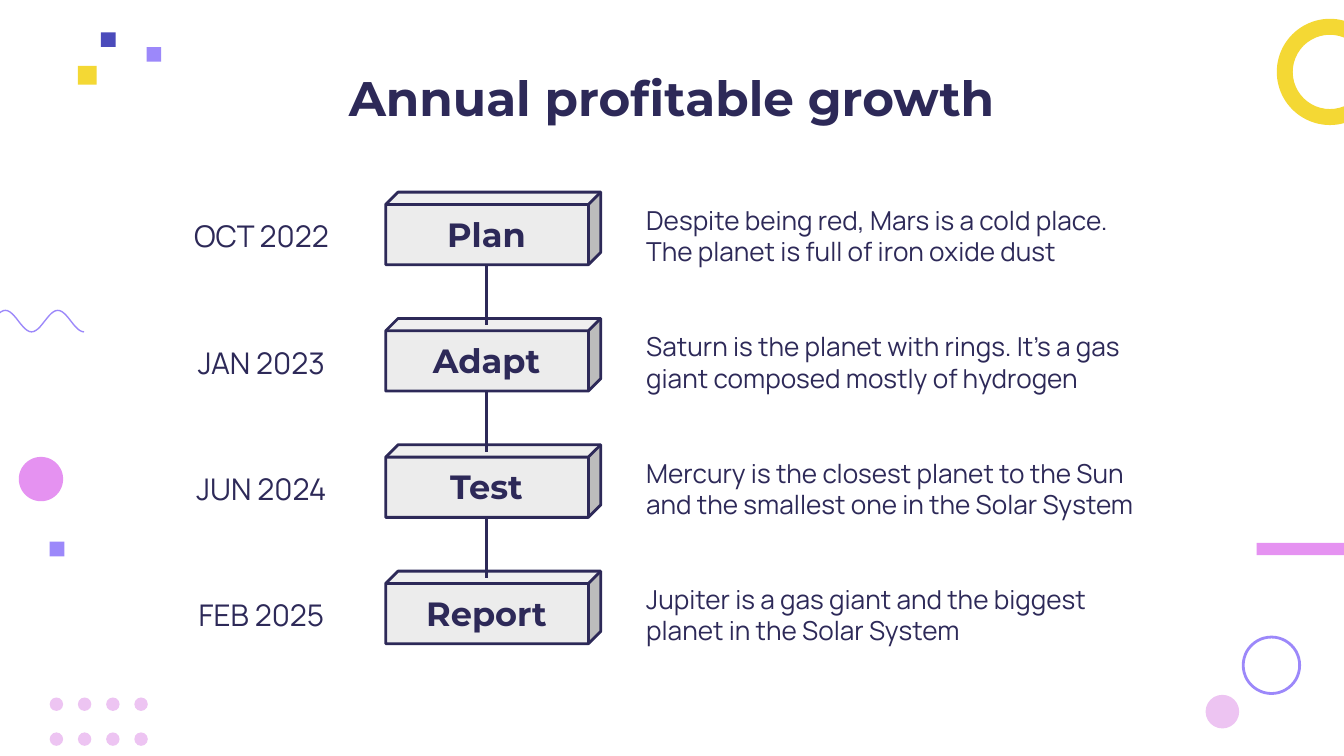
from math import cos, pi

from lxml import etree
from pptx import Presentation
from pptx.dml.color import RGBColor
from pptx.enum.shapes import MSO_CONNECTOR, MSO_SHAPE as Shape
from pptx.enum.text import MSO_ANCHOR as Anchor, PP_ALIGN as Align
from pptx.oxml.ns import qn
from pptx.util import Inches, Pt

COLORS = {
    "ink": "2D2958",
    "box": "ECECEC",
    "pale_pink": "EDC4F2",
    "pink": "E592F1",
    "violet": "9C88FA",
    "indigo": "4B4BBB",
    "yellow": "F4D834",
}
HEADING, BODY = "Montserrat", "Manrope"
PITCH = 0.94
STEPS = [
    ("OCT 2022", "Plan",
     "Despite being red, Mars is a cold place. The planet is full of iron oxide dust"),
    ("JAN 2023", "Adapt",
     "Saturn is the planet with rings. It’s a gas giant composed mostly of hydrogen"),
    ("JUN 2024", "Test",
     "Mercury is the closest planet to the Sun and the smallest one in the Solar System"),
    ("FEB 2025", "Report",
     "Jupiter is a gas giant and the biggest planet in the Solar System"),
]


def color(name):
    return RGBColor.from_string(COLORS[name])


def style(shape, fill=None, line=None, weight=1.5):
    shape.shadow.inherit = False
    if fill:
        shape.fill.solid()
        shape.fill.fore_color.rgb = color(fill)
    else:
        shape.fill.background()
    if line:
        shape.line.color.rgb = color(line)
        shape.line.width = Pt(weight)
    else:
        shape.line.fill.background()


def add_shape(slide, kind, left, top, width, height, adjust=None, **look):
    shape = slide.shapes.add_shape(
        kind, Inches(left), Inches(top), Inches(width), Inches(height))
    if adjust is not None:
        shape.adjustments[0] = adjust
    style(shape, **look)


def add_text(slide, text, left, top, width, height, *, size, font=BODY, bold=False,
             align=Align.CENTER, anchor=Anchor.MIDDLE):
    box = slide.shapes.add_textbox(
        Inches(left), Inches(top), Inches(width), Inches(height))
    frame = box.text_frame
    frame.word_wrap = True
    frame.vertical_anchor = anchor
    frame.margin_left = frame.margin_right = Inches(0.1)
    frame.margin_top = frame.margin_bottom = Inches(0.1)
    paragraph = frame.paragraphs[0]
    paragraph.alignment = align
    run = paragraph.add_run()
    run.text = text
    run.font.size = Pt(size)
    run.font.name = font
    run.font.bold = bold
    run.font.color.rgb = color("ink")


def add_link(slide, x, top, bottom):
    link = slide.shapes.add_connector(
        MSO_CONNECTOR.STRAIGHT, Inches(x), Inches(top), Inches(x), Inches(bottom))
    link.line.color.rgb = color("ink")
    link.line.width = Pt(1.5)
    etree.SubElement(link._element.spPr, qn("a:effectLst"))


def add_wave(slide, left, middle, period, height, cycles):
    """Draw a cosine curve that starts on a crest."""
    samples = 24
    points = [
        (Inches(left + period * i / samples),
         Inches(middle - height * cos(2 * pi * i / samples)))
        for i in range(int(cycles * samples) + 1)
    ]
    builder = slide.shapes.build_freeform(*points[0])
    builder.add_line_segments(points[1:], close=False)
    style(builder.convert_to_shape(), line="violet", weight=0.75)


def add_decorations(slide):
    for column in range(4):
        for row in range(2):
            add_shape(slide, Shape.OVAL, 0.37 + 0.21 * column, 5.19 + 0.26 * row,
                      0.1, 0.1, fill="pale_pink")
    add_wave(slide, left=-0.35, middle=2.39, period=0.39, height=0.08, cycles=2.5)
    add_shape(slide, Shape.DONUT, 9.5, 0.14, 0.79, 0.79, adjust=0.15, fill="yellow")
    add_shape(slide, Shape.OVAL, 9.25, 4.74, 0.42, 0.42, line="violet")
    add_shape(slide, Shape.OVAL, 0.14, 3.4, 0.33, 0.33, fill="pink")
    add_shape(slide, Shape.OVAL, 8.97, 5.17, 0.25, 0.25, fill="pale_pink")
    add_shape(slide, Shape.RECTANGLE, 9.35, 4.04, 0.88, 0.09, fill="pink")
    for left, top, side, fill in [
        (0.58, 0.49, 0.14, "yellow"),
        (1.09, 0.35, 0.11, "violet"),
        (0.75, 0.24, 0.11, "indigo"),
        (0.37, 4.03, 0.11, "violet"),
    ]:
        add_shape(slide, Shape.RECTANGLE, left, top, side, side, fill=fill)


def add_step(slide, offset, date, name, description):
    add_shape(slide, Shape.CUBE, 2.87, 1.43 + offset, 1.6, 0.54,
              adjust=0.17, fill="box", line="ink")
    add_text(slide, date, 1.27, 1.53 + offset, 1.35, 0.45, size=16)
    add_text(slide, name, 2.87, 1.49 + offset, 1.5, 0.49,
             size=18, font=HEADING, bold=True, anchor=Anchor.TOP)
    add_text(slide, description, 4.71, 1.42 + offset, 4, 0.69,
             size=14, align=Align.LEFT, anchor=Anchor.TOP)


def main():
    presentation = Presentation()
    presentation.slide_width = Inches(10)
    presentation.slide_height = Inches(10 * 9 / 16)
    slide = presentation.slides.add_slide(presentation.slide_layouts[6])

    add_decorations(slide)
    add_text(slide, "Annual profitable growth", 0.83, 0.41, 8.34, 0.63,
             size=26, font=HEADING, bold=True)
    for index, step in enumerate(STEPS):
        add_step(slide, index * PITCH, *step)
    for index in range(len(STEPS) - 1):
        top = 1.97 + index * PITCH
        add_link(slide, 3.62, top, top + 0.45)

    presentation.save("out.pptx")


if __name__ == "__main__":
    main()
